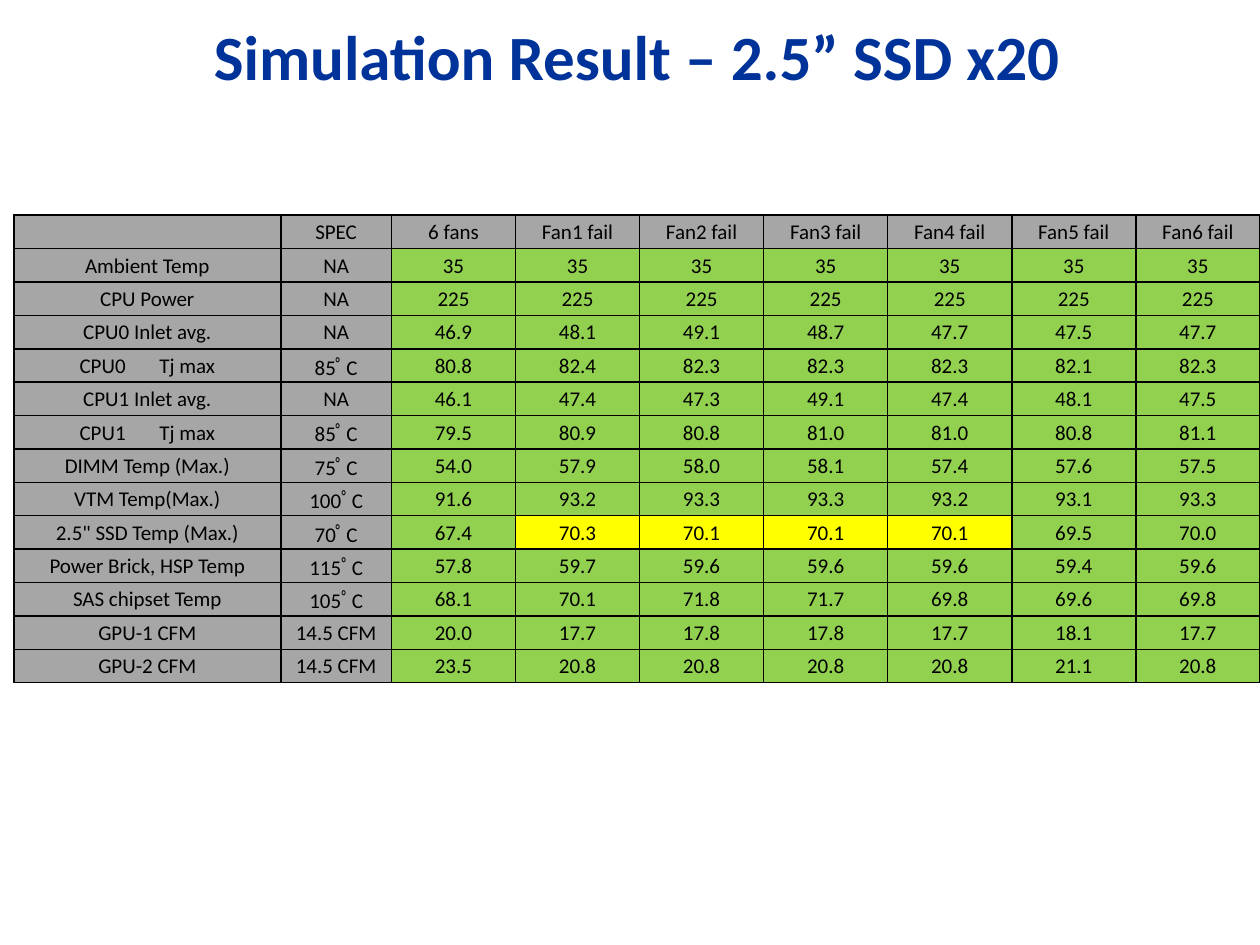
from lxml import etree
from pptx import Presentation
from pptx import util as u
from pptx.dml.color import RGBColor
from pptx.enum import text
from pptx.oxml import ns

NAVY = RGBColor(0x00, 0x33, 0x99)
BLACK = RGBColor(0x00, 0x00, 0x00)
GREY = RGBColor(0xA6, 0xA6, 0xA6)
GREEN = RGBColor(0x92, 0xD0, 0x50)
YELLOW = RGBColor(0xFF, 0xFF, 0x00)

FONT = "Calibri"
COLUMN_WIDTHS = [152.6, 63.2] + [70.9] * 7
ROW_HEIGHT = 19.1
WORD_GAP = 16.5  # extra width of the space marked by a tab in a label

RESULTS = [
    ["", "SPEC", "6 fans"] + [f"Fan{n} fail" for n in range(1, 7)],
    ["Ambient Temp", "NA"] + ["35"] * 7,
    ["CPU Power", "NA"] + ["225"] * 7,
    ["CPU0 Inlet avg.", "NA", "46.9", "48.1", "49.1", "48.7", "47.7", "47.5", "47.7"],
    ["CPU0\tTj max", "85ﾟC", "80.8", "82.4", "82.3", "82.3", "82.3", "82.1", "82.3"],
    ["CPU1 Inlet avg.", "NA", "46.1", "47.4", "47.3", "49.1", "47.4", "48.1", "47.5"],
    ["CPU1\tTj max", "85ﾟC", "79.5", "80.9", "80.8", "81.0", "81.0", "80.8", "81.1"],
    ["DIMM Temp (Max.)", "75ﾟC", "54.0", "57.9", "58.0", "58.1", "57.4", "57.6", "57.5"],
    ["VTM Temp(Max.)", "100ﾟC", "91.6", "93.2", "93.3", "93.3", "93.2", "93.1", "93.3"],
    ['2.5" SSD Temp (Max.)', "70ﾟC", "67.4", "70.3", "70.1", "70.1", "70.1", "69.5", "70.0"],
    ["Power Brick, HSP Temp", "115ﾟC", "57.8", "59.7", "59.6", "59.6", "59.6", "59.4", "59.6"],
    ["SAS chipset Temp", "105ﾟC", "68.1", "70.1", "71.8", "71.7", "69.8", "69.6", "69.8"],
    ["GPU-1 CFM", "14.5 CFM", "20.0", "17.7", "17.8", "17.8", "17.7", "18.1", "17.7"],
    ["GPU-2 CFM", "14.5 CFM", "23.5", "20.8", "20.8", "20.8", "20.8", "21.1", "20.8"],
]


def write_text(frame, content, *, size=12, color=BLACK, bold=False):
    """Write one centred paragraph; a tab becomes a widened space."""
    paragraph = frame.paragraphs[0]
    paragraph.alignment = text.PP_ALIGN.CENTER
    if not content:
        # Keep an empty cell from growing to the default text size
        end = etree.SubElement(paragraph._p, ns.qn("a:endParaRPr"))
        end.set("sz", str(size * 100))
        return
    before, tab, after = content.partition("\t")
    for part in filter(None, (before, tab, after)):
        run = paragraph.add_run()
        run.text = " " if part == "\t" else part
        run.font.name = FONT
        run.font.size = u.Pt(size)
        run.font.bold = bold
        run.font.color.rgb = color
        if part == "\t":
            run._r.get_or_add_rPr().set("spc", str(int(WORD_GAP * 100)))


def add_title(slide, content):
    title = slide.shapes.add_textbox(u.Pt(7.9), u.Pt(10.8), u.Pt(712.1), u.Pt(41.8))
    title.text_frame.word_wrap = True
    title.text_frame.vertical_anchor = text.MSO_ANCHOR.MIDDLE
    write_text(title.text_frame, content, size=36, color=NAVY, bold=True)


def add_borders(cell):
    """Draw the four cell edges; they must come before the fill."""
    properties = cell._tc.get_or_add_tcPr()
    for position, edge in enumerate(("lnL", "lnR", "lnT", "lnB")):
        line = etree.Element(ns.qn(f"a:{edge}"), w=str(u.Pt(1)))
        fill = etree.SubElement(line, ns.qn("a:solidFill"))
        etree.SubElement(fill, ns.qn("a:srgbClr"), val=str(BLACK))
        properties.insert(position, line)


def cell_color(row, column):
    if row == 0 or column < 2:
        return GREY
    spec, value = RESULTS[row][1], RESULTS[row][column]
    if spec.endswith("ﾟC") and float(value) > float(spec[:-2]):
        return YELLOW  # over the temperature limit
    return GREEN


def add_results(slide):
    results = slide.shapes.add_table(
        len(RESULTS), len(COLUMN_WIDTHS), u.Pt(7.9), u.Pt(123),
        u.Pt(sum(COLUMN_WIDTHS)), u.Pt(ROW_HEIGHT * len(RESULTS))).table
    for column, width in zip(results.columns, COLUMN_WIDTHS):
        column.width = u.Pt(width)
    for r, values in enumerate(RESULTS):
        results.rows[r].height = u.Pt(ROW_HEIGHT)
        for c, value in enumerate(values):
            cell = results.cell(r, c)
            cell.margin_left = cell.margin_right = cell.margin_top = u.Pt(0.7)
            cell.margin_bottom = 0
            cell.vertical_anchor = text.MSO_ANCHOR.MIDDLE
            cell.fill.solid()
            cell.fill.fore_color.rgb = cell_color(r, c)
            add_borders(cell)
            write_text(cell.text_frame, value)


def main():
    deck = Presentation()
    deck.slide_width, deck.slide_height = u.Pt(720), u.Pt(540)
    slide = deck.slides.add_slide(deck.slide_layouts[6])

    # Heading
    add_title(slide, "Simulation Result – 2.5” SSD x20")

    # Temperatures and airflow for each fan failure
    add_results(slide)

    deck.save("out.pptx")


if __name__ == "__main__":
    main()
